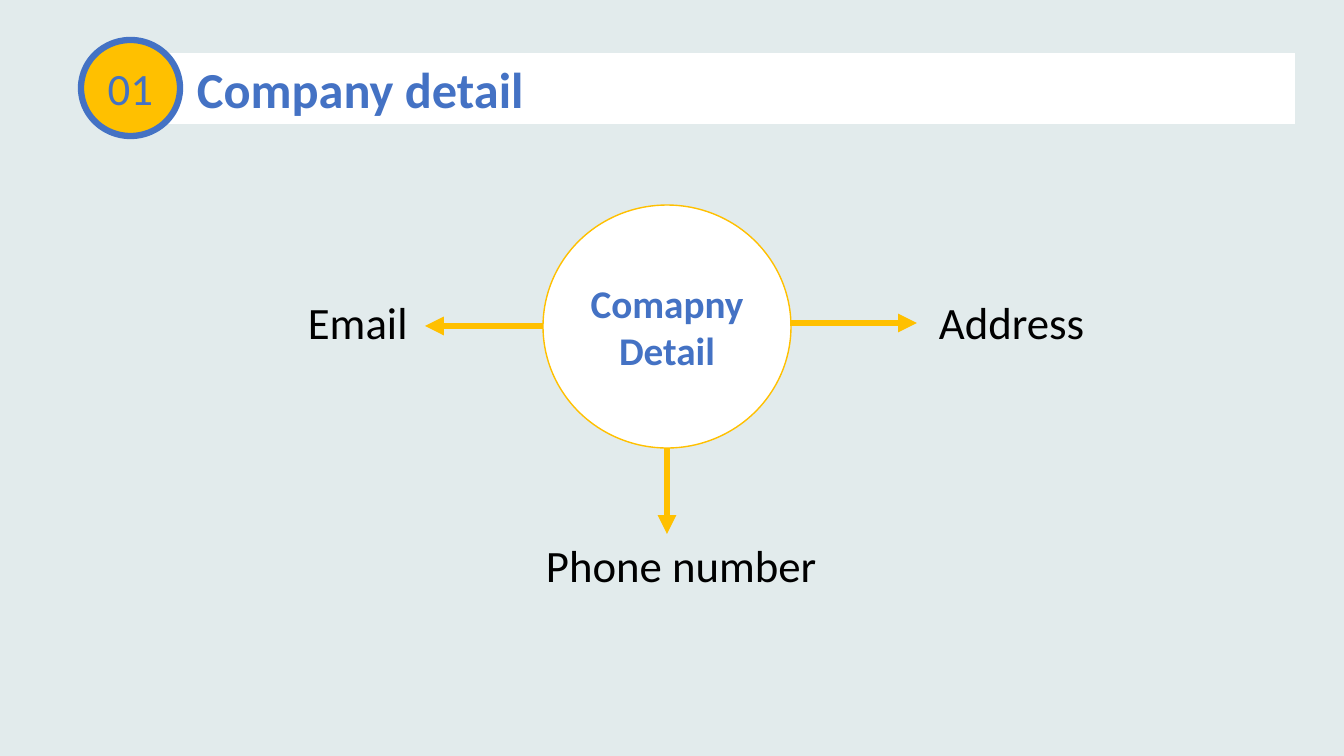
from lxml import etree
from pptx import Presentation
from pptx import util as u
from pptx.dml.color import RGBColor
from pptx.enum import shapes, text
from pptx.oxml.ns import qn

SLIDE_SIZE = (1344, 756)
EMU_PER_PX = 12192000 / 1344
FONT = "Calibri"
BACKGROUND, WHITE, BLUE, AMBER, BLACK = "E2EBEC", "FFFFFF", "4472C4", "FFC000", "000000"

TITLE = ("Company detail", (165, 53, 1130, 71))
TITLE_INDENT = 32

# text, box, fill, line colour, line width, text size, bold
CIRCLES = [
    ("01", (81, 40, 99, 96), AMBER, BLUE, 4.5, 32, False),
    ("Comapny Detail", (543, 205, 248, 243), WHITE, AMBER, 1, 28, True),
]
# text, box, arrow start, arrow end
BRANCHES = [
    ("Address", (929, 290, 169, 65), (790, 323), (917, 323)),
    ("Phone number", (536, 533, 298, 65), (667, 448), (667, 534)),
    ("Email", (298, 290, 125, 65), (543, 326), (425, 326)),
]


def px(length):
    return u.Emu(round(length * EMU_PER_PX))


def colour(hex_value):
    return RGBColor.from_string(hex_value)


def write(shape, words, size, hex_value, bold=False, align=text.PP_ALIGN.LEFT):
    frame = shape.text_frame
    frame.text = words
    frame.word_wrap = True
    frame.auto_size = text.MSO_AUTO_SIZE.NONE
    paragraph = frame.paragraphs[0]
    paragraph.alignment = align
    font = paragraph.runs[0].font
    font.name, font.size, font.bold = FONT, u.Pt(size), bold
    font.color.rgb = colour(hex_value)
    return frame


def fill(shape, hex_value):
    shape.fill.solid()
    shape.fill.fore_color.rgb = colour(hex_value)


def add_title(slide):
    words, box = TITLE
    title = slide.shapes.title
    title.left, title.top, title.width, title.height = map(px, box)
    fill(title, WHITE)
    frame = write(title, words, 36, BLUE, bold=True)
    frame.vertical_anchor = text.MSO_ANCHOR.TOP
    frame.margin_left = px(TITLE_INDENT)


def add_circle(slide, words, box, fill_colour, line_colour, line_width, size, bold):
    circle = slide.shapes.add_shape(
        shapes.MSO_SHAPE.FLOWCHART_CONNECTOR, *map(px, box))
    circle.shadow.inherit = False
    fill(circle, fill_colour)
    circle.line.color.rgb = colour(line_colour)
    circle.line.width = u.Pt(line_width)
    frame = write(circle, words, size, BLUE, bold, text.PP_ALIGN.CENTER)
    frame.vertical_anchor = text.MSO_ANCHOR.MIDDLE
    frame.margin_left = frame.margin_right = px(5)


def add_arrow(slide, start, end):
    arrow = slide.shapes.add_connector(
        shapes.MSO_CONNECTOR.STRAIGHT, *map(px, start + end))
    arrow.line.color.rgb = colour(AMBER)
    arrow.line.width = u.Pt(4.5)
    properties = arrow.element.spPr
    etree.SubElement(properties.find(qn("a:ln")), qn("a:tailEnd"), type="triangle")
    etree.SubElement(properties, qn("a:effectLst"))


def main():
    presentation = Presentation()
    presentation.slide_width, presentation.slide_height = map(px, SLIDE_SIZE)
    slide = presentation.slides.add_slide(
        presentation.slide_layouts.get_by_name("Title Only"))
    fill(slide.background, BACKGROUND)

    add_title(slide)
    for circle in CIRCLES:
        add_circle(slide, *circle)
    for words, box, start, end in BRANCHES:
        add_arrow(slide, start, end)
        write(slide.shapes.add_textbox(*map(px, box)), words, 32, BLACK)

    presentation.save("out.pptx")


if __name__ == "__main__":
    main()
